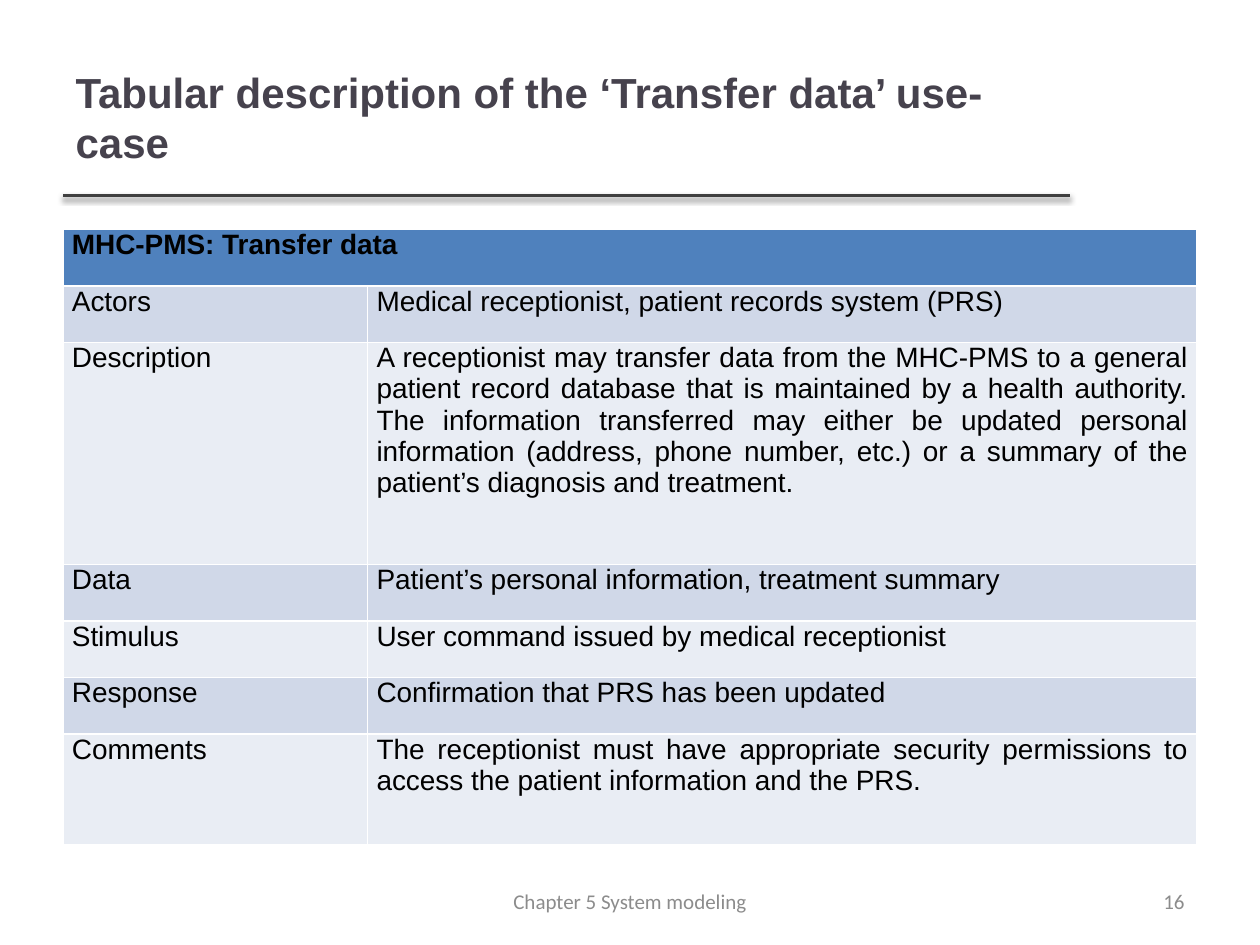
from lxml import etree
from pptx import Presentation
from pptx.dml.color import RGBColor
from pptx.enum.shapes import MSO_CONNECTOR
from pptx.enum.text import MSO_ANCHOR, MSO_AUTO_SIZE, PP_ALIGN
from pptx.oxml import parse_xml
from pptx.oxml.ns import nsdecls, qn
from pptx.util import Cm, Pt

STRAIGHT = MSO_CONNECTOR.STRAIGHT
MIDDLE, TOP = MSO_ANCHOR.MIDDLE, MSO_ANCHOR.TOP
NO_AUTOFIT = MSO_AUTO_SIZE.NONE
LEFT, CENTER, RIGHT, JUSTIFY = (
    PP_ALIGN.LEFT, PP_ALIGN.CENTER, PP_ALIGN.RIGHT, PP_ALIGN.JUSTIFY)

BLACK = RGBColor(0x00, 0x00, 0x00)
TITLE_GREY = RGBColor(0x46, 0x42, 0x4D)
RULE_GREY = RGBColor(0x40, 0x40, 0x40)
FOOTER_GREY = RGBColor(0x8C, 0x8C, 0x8C)
HEADER_BLUE = RGBColor(0x4F, 0x81, 0xBD)
BANDS = (RGBColor(0xD0, 0xD8, 0xE8), RGBColor(0xE9, 0xED, 0xF4))

MARGIN = Cm(1.27)
COLUMN_WIDTHS = (Cm(6.14), Cm(16.72))
ROW_HEIGHT = Cm(1.14)
TALL_ROWS = {"Description": Cm(4.47), "Comments": Cm(2.24)}

HEADING = "MHC-PMS: Transfer data"
USE_CASE = (
    ("Actors", "Medical receptionist, patient records system (PRS)"),
    ("Description",
     "A receptionist may transfer data from the MHC-PMS to a general patient "
     "record database that is maintained by a health authority. The "
     "information transferred may either be updated personal information "
     "(address, phone number, etc.) or a summary of the patient’s diagnosis "
     "and treatment."),
    ("Data", "Patient’s personal information, treatment summary"),
    ("Stimulus", "User command issued by medical receptionist"),
    ("Response", "Confirmation that PRS has been updated"),
    ("Comments",
     "The receptionist must have appropriate security permissions to access "
     "the patient information and the PRS."),
)


def write(frame, text, size=16, font="Arial", color=BLACK, bold=False, align=LEFT):
    para = frame.paragraphs[0]
    para.alignment = align
    span = para.add_run()
    span.text = text
    span.font.size = Pt(size)
    span.font.name = font
    span.font.bold = bold
    span.font.color.rgb = color


def add_title(page, text):
    title = page.shapes.title
    title.left, title.top = MARGIN, Cm(0.76)
    title.width, title.height = Cm(20.27), Cm(3.18)
    frame = title.text_frame
    frame.auto_size = NO_AUTOFIT
    frame.word_wrap = True
    frame.vertical_anchor = MIDDLE
    write(frame, text, size=24, color=TITLE_GREY, bold=True)


def add_title_rule(page):
    """Draw the line under the title, with a soft shadow below it."""
    rule = page.shapes.add_connector(STRAIGHT, MARGIN, Cm(3.94), Cm(21.56), Cm(3.94))
    rule.line.color.rgb = RULE_GREY
    rule.line.width = Pt(2)
    effects = etree.SubElement(rule._element.spPr, qn("a:effectLst"))
    effects.append(parse_xml(
        f'<a:outerShdw {nsdecls("a")} blurRad="{Pt(3.1)}" dist="{Pt(1.6)}" '
        'dir="5400000" rotWithShape="0"><a:srgbClr val="000000">'
        '<a:alpha val="38000"/></a:srgbClr></a:outerShdw>'))


def fill_cell(cell, text, fill, bold=False):
    cell.fill.solid()
    cell.fill.fore_color.rgb = fill
    cell.margin_left = cell.margin_right = Cm(0.18)
    cell.margin_top = cell.margin_bottom = 0
    cell.vertical_anchor = TOP
    write(cell.text_frame, text, bold=bold, align=JUSTIFY)


def add_use_case_table(page):
    """Add the table; its default style supplies the white borders."""
    heights = [ROW_HEIGHT] + [TALL_ROWS.get(name, ROW_HEIGHT) for name, _ in USE_CASE]
    table = page.shapes.add_table(
        len(heights), len(COLUMN_WIDTHS), MARGIN, Cm(4.63),
        sum(COLUMN_WIDTHS), sum(heights)).table
    for column, width in zip(table.columns, COLUMN_WIDTHS):
        column.width = width
    for row, height in zip(table.rows, heights):
        row.height = height

    table.cell(0, 0).merge(table.cell(0, 1))
    fill_cell(table.cell(0, 0), HEADING, HEADER_BLUE, bold=True)
    for index, texts in enumerate(USE_CASE):
        for column, text in enumerate(texts):
            fill_cell(table.cell(index + 1, column), text, BANDS[index % 2])


def add_footer(page, text, left, width, align):
    box = page.shapes.add_textbox(left, Cm(17.65), width, Cm(1.02))
    frame = box.text_frame
    frame.word_wrap = True
    frame.vertical_anchor = MIDDLE
    write(frame, text, size=12, font="Calibri", color=FOOTER_GREY, align=align)


def main():
    deck = Presentation()
    deck.slide_width, deck.slide_height = Cm(25.4), Cm(19.05)
    title_only = deck.slide_layouts[5]
    page = deck.slides.add_slide(title_only)

    add_title_rule(page)
    add_title(page, "Tabular description of the ‘Transfer data’ use-case")
    add_use_case_table(page)
    add_footer(page, "16", Cm(18.2), Cm(5.93), RIGHT)
    add_footer(page, "Chapter 5 System modeling", Cm(8.68), Cm(8.04), CENTER)

    deck.save("out.pptx")


if __name__ == "__main__":
    main()
